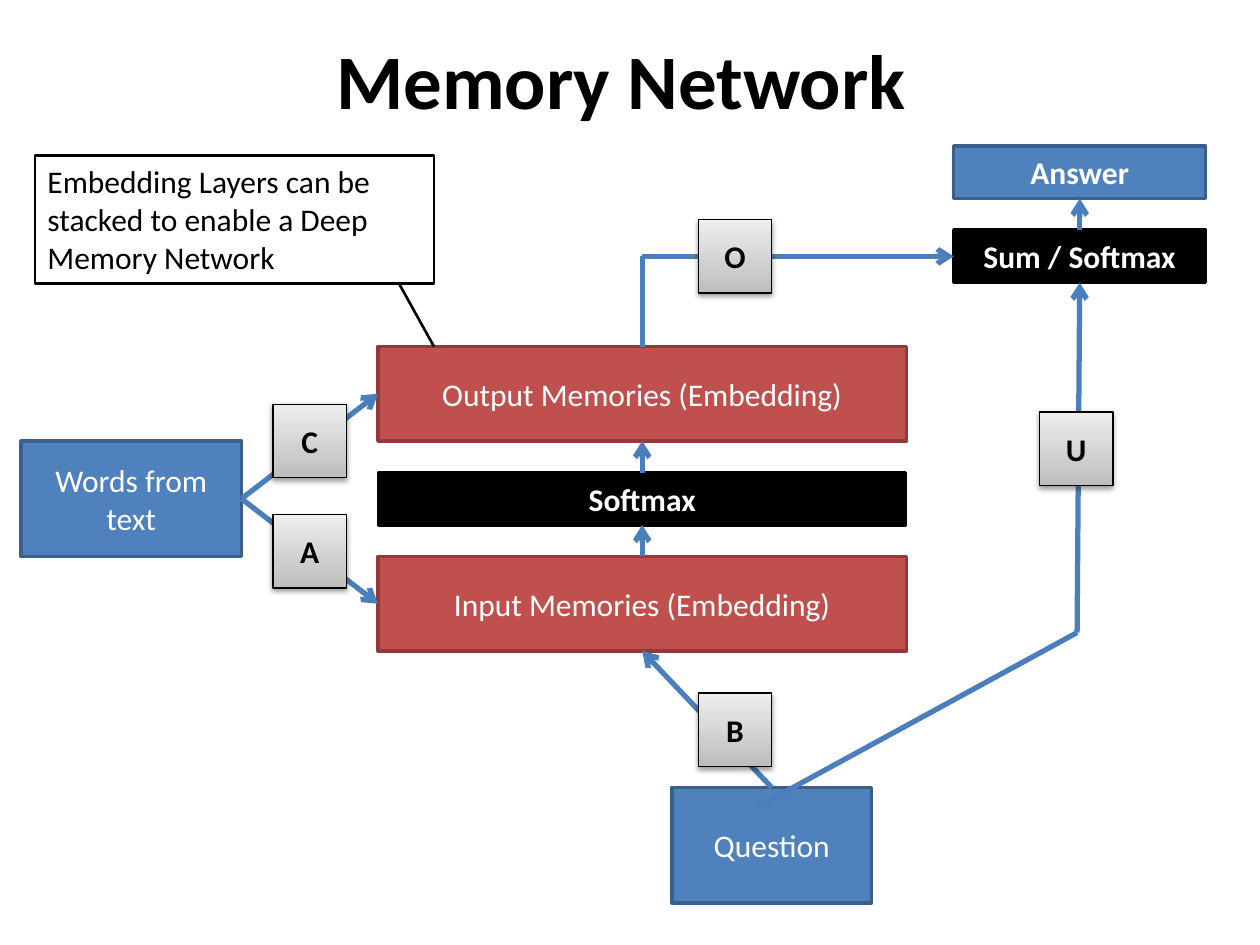
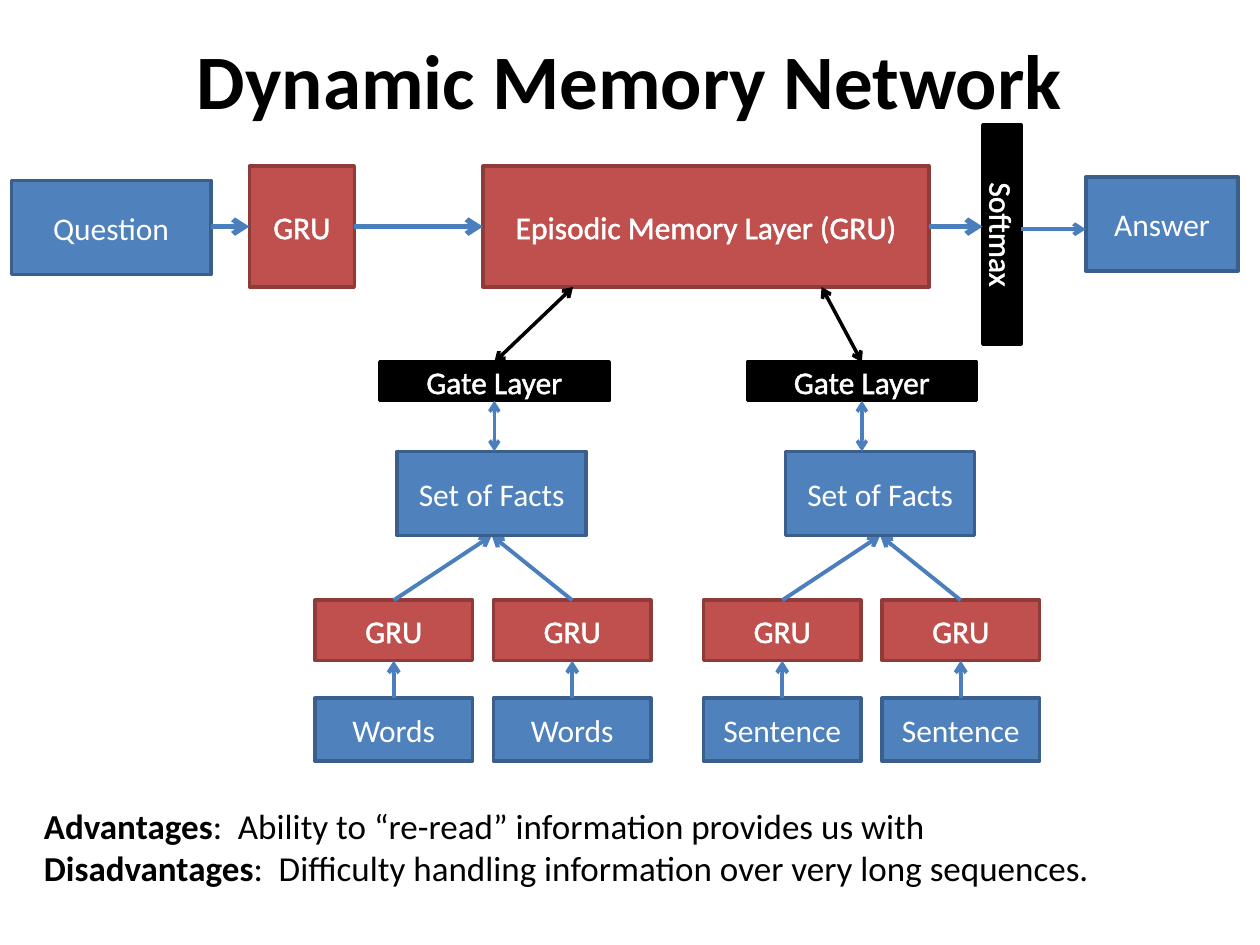
from typing import NamedTuple

from lxml.etree import SubElement
from pptx import Presentation
from pptx.dml.color import RGBColor
from pptx.enum.shapes import MSO_CONNECTOR as Connector, MSO_SHAPE as Shape
from pptx.enum.text import MSO_ANCHOR as Anchor, PP_ALIGN as Align
from pptx.oxml.ns import qn
from pptx.util import Pt

COLORS = {
    "black": "000000", "white": "FFFFFF",
    "blue": "4F81BD", "blue_edge": "3A5F8C", "arrow": "4B7EBC",
    "red": "C0504D", "red_edge": "8E3B39",
    "key_dark": "BDBDBD", "key_light": "EEEEEE",
}
EDGES = {"blue": "blue_edge", "red": "red_edge", "black": "black"}
FONT = "Calibri"


class Box(NamedTuple):
    """A rectangle in points."""
    left: float
    top: float
    width: float
    height: float

    @property
    def center(self):
        return self.left + self.width / 2, self.top + self.height / 2

    @property
    def upper(self):
        return self.center[0], self.top

    @property
    def lower(self):
        return self.center[0], self.top + self.height

    @property
    def start(self):
        return self.left, self.center[1]

    @property
    def end(self):
        return self.left + self.width, self.center[1]

    def inner(self, x, y, width, height):
        return Box(self.left + x, self.top + y, width, height)


def rgb(name):
    return RGBColor.from_string(COLORS[name])


def set_font(font, size, color="black", bold=False):
    font.name, font.size, font.bold = FONT, Pt(size), bold
    font.color.rgb = rgb(color)


def add_color(parent, name, alpha=None):
    color = SubElement(parent, qn("a:srgbClr"), val=COLORS[name])
    if alpha:
        SubElement(color, qn("a:alpha"), val=str(alpha * 1000))


def outline_text(run, color="white", width=1.45):
    properties = run._r.get_or_add_rPr()
    line = SubElement(properties, qn("a:ln"), w=str(Pt(width)))
    add_color(SubElement(line, qn("a:solidFill")), color)
    properties.insert(0, line)


def add_rectangle(slide, box, text, edge, edge_width, color, bold=False):
    shape = slide.shapes.add_shape(Shape.RECTANGLE, *map(Pt, box))
    shape.shadow.inherit = False
    shape.line.color.rgb = rgb(edge)
    shape.line.width = Pt(edge_width)
    frame = shape.text_frame
    frame.word_wrap = True
    frame.vertical_anchor = Anchor.MIDDLE
    paragraph = frame.paragraphs[0]
    paragraph.text = text
    paragraph.alignment = Align.CENTER
    set_font(paragraph.font, 18, color, bold)
    return shape


def add_node(slide, box, text, fill="blue", bold=False, outlined=False):
    shape = add_rectangle(slide, box, text, EDGES[fill], 2, "white", bold)
    shape.fill.solid()
    shape.fill.fore_color.rgb = rgb(fill)
    if outlined:
        outline_text(shape.text_frame.paragraphs[0].runs[0])
    return shape


def add_weight_key(slide, letter, left, top):
    """Grey shaded square naming a weight matrix."""
    shape = add_rectangle(slide, Box(left, top, 42, 42), letter,
                          "black", 0.75, "black", bold=True)
    shape.fill.gradient()
    shape.fill.gradient_angle = 90
    for stop, color in zip(shape.fill.gradient_stops, ("key_dark", "key_light")):
        stop.color.rgb = rgb(color)
    effects = shape._element.spPr.find(qn("a:effectLst"))
    shadow = SubElement(effects, qn("a:outerShdw"), blurRad=str(Pt(3.1)),
                        dist=str(Pt(1.6)), dir="5400000", rotWithShape="0")
    add_color(shadow, "black", alpha=38)


def add_line(slide, start, end, color="arrow", width=3, ends=("tailEnd",)):
    """Line from start to end; ends lists the tips that carry an arrowhead."""
    connector = slide.shapes.add_connector(
        Connector.STRAIGHT, *map(Pt, (*start, *end)))
    connector.line.color.rgb = rgb(color)
    connector.line.width = Pt(width)
    for tip in ends:
        SubElement(connector.line._get_or_add_ln(), qn(f"a:{tip}"), type="arrow")
    SubElement(connector._element.spPr, qn("a:effectLst"))


def add_double_arrow(slide, start, end, color="arrow"):
    add_line(slide, start, end, color, 2, ("headEnd", "tailEnd"))


def add_text_box(slide, box):
    frame = slide.shapes.add_textbox(*map(Pt, box)).text_frame
    frame.word_wrap = True
    return frame


def add_titled_slide(presentation, title):
    slide = presentation.slides.add_slide(presentation.slide_layouts[6])
    frame = add_text_box(slide, Box(36, 0, 648, 90))
    frame.vertical_anchor = Anchor.MIDDLE
    paragraph = frame.paragraphs[0]
    paragraph.text = title
    paragraph.alignment = Align.CENTER
    set_font(paragraph.font, 44, bold=True)
    return slide


def add_memory_stack(slide, box):
    """Input and output memories with a softmax between; returns both boxes."""
    gap, softmax_height = 18, 30
    height = (box.height - softmax_height - 2 * gap) / 2
    output = box.inner(0, 0, box.width, height)
    softmax = box.inner(0.5, height + gap, box.width - 1, softmax_height)
    inputs = box.inner(0, box.height - height, box.width, height)
    add_node(slide, inputs, "Input Memories (Embedding)", "red")
    add_node(slide, softmax, "Softmax", "black", bold=True)
    add_node(slide, output, "Output Memories (Embedding)", "red")
    add_line(slide, inputs.upper, softmax.lower)
    add_line(slide, softmax.upper, output.lower)
    return output, inputs


def add_words_source(slide, box, output, inputs):
    add_node(slide, box, "Words from text")
    for target, letter, top in ((output, "C", -21), (inputs, "A", 42)):
        add_line(slide, box.end, target.start)
        add_weight_key(slide, letter, box.left + box.width + 18, box.top + top)


def add_answer_column(slide, box):
    """Answer above its softmax; returns the softmax box."""
    height = 30
    answer = box.inner(0, 0, box.width, height)
    softmax = box.inner(0, box.height - height, box.width, height)
    add_node(slide, softmax, "Sum / Softmax", "black", bold=True)
    add_node(slide, answer, "Answer", bold=True)
    add_line(slide, softmax.upper, answer.lower)
    return softmax


def add_callout(slide, box, target):
    shape = add_rectangle(
        slide, box,
        "Embedding Layers can be stacked to enable a Deep Memory Network",
        "black", 1.5, "black")
    shape.fill.background()
    shape.text_frame.paragraphs[0].alignment = Align.LEFT
    shape.text_frame.vertical_anchor = Anchor.TOP
    right, bottom = box.left + box.width, box.top + box.height
    add_line(slide, (right, target.top), (right - 20, bottom), "black", 1.5, ())


def build_memory_network(presentation):
    slide = add_titled_slide(presentation, "Memory Network ")
    question = Box(384, 450, 114, 66)
    add_node(slide, question, "Question")
    output, inputs = add_memory_stack(slide, Box(216, 198, 302, 174))
    add_words_source(slide, Box(12, 252, 126, 66), output, inputs)
    softmax = add_answer_column(slide, Box(545, 83.5, 144, 78))

    add_line(slide, question.upper, inputs.lower)
    corner = output.center[0], softmax.center[1]
    add_line(slide, corner, softmax.start)
    add_line(slide, output.upper, corner, ends=())
    bend = 615.5, 361.5
    add_line(slide, (433, 461), bend, ends=())
    add_line(slide, bend, softmax.lower)
    for letter, left, top in (("B", 399, 396), ("O", 399, 125.5), ("U", 594, 235.5)):
        add_weight_key(slide, letter, left, top)
    add_callout(slide, Box(20, 89, 228, 73), output)


def add_answer_pipeline(slide, box):
    """Question to answer, left to right; returns the episodic memory box."""
    question = box.inner(0, 31.5, 114, 54)
    encoder = box.inner(136, 23.5, 60, 69)
    episodic = box.inner(269.5, 23.5, 255, 69)
    softmax = box.inner(503.5, 51.5, 125, 22)
    answer = box.inner(box.width - 87, 29.5, 87, 54)
    add_node(slide, question, "Question")
    add_node(slide, encoder, "GRU", "red", outlined=True)
    add_node(slide, episodic, "Episodic Memory Layer (GRU)", "red", outlined=True)
    add_node(slide, softmax, "Softmax", "black", outlined=True).rotation = 90
    add_node(slide, answer, "Answer")

    middle_x, middle_y = softmax.center
    half = softmax.height / 2
    flow_y = episodic.center[1]
    add_line(slide, (question.end[0], flow_y), encoder.start)
    add_line(slide, encoder.end, episodic.start)
    add_line(slide, episodic.end, (middle_x - half, flow_y))
    answer_y = middle_y - 3
    add_line(slide, (middle_x + half, answer_y), (answer.left, answer_y), width=2.25)
    return episodic


def add_fact_tree(slide, box, leaf_text, gate_x, memory_point):
    """Two encoded leaves feed a fact set, gated into the memory layer."""
    gate = box.inner(gate_x, 0, 131, 22)
    facts = box.inner(47, 51, 108, 48)
    leaf_width = 90
    for x in (0, box.width - leaf_width):
        encoder = box.inner(x, 136, leaf_width, 34.5)
        leaf = box.inner(x, box.height - 36, leaf_width, 36)
        add_node(slide, leaf, leaf_text)
        add_node(slide, encoder, "GRU", "red", outlined=True)
        add_line(slide, leaf.upper, encoder.lower, width=2.25)
        add_line(slide, encoder.upper, facts.lower, width=2.25)
    add_node(slide, facts, "Set of Facts")
    add_node(slide, gate, "Gate Layer", "black", outlined=True)
    add_double_arrow(slide, (gate.center[0], facts.top), gate.lower)
    add_double_arrow(slide, gate.upper, memory_point, "black")


def add_verdicts(slide, box, verdicts):
    frame = add_text_box(slide, box)
    for index, (label, detail) in enumerate(verdicts):
        paragraph = frame.add_paragraph() if index else frame.paragraphs[0]
        for text, bold in ((label, True), (f":  {detail}", False)):
            run = paragraph.add_run()
            run.text = text
            set_font(run.font, 20, bold=bold)


def build_dynamic_network(presentation):
    slide = add_titled_slide(presentation, "Dynamic Memory Network")
    add_verdicts(slide, Box(18, 456, 678, 55), (
        ("Advantages", "Ability to “re-read” information provides us with"),
        ("Disadvantages",
         "Difficulty handling information over very long sequences."),
    ))
    episodic = add_answer_pipeline(slide, Box(6.5, 71.5, 701, 125))
    memory_y = episodic.lower[1]
    for left, leaf_text, gate_x, memory_x in (
            (180, "Words", 37, 327.5), (402, "Sentence", 25, 469.5)):
        add_fact_tree(slide, Box(left, 207, 192, 228), leaf_text, gate_x,
                      (memory_x, memory_y))


def main():
    presentation = Presentation()
    presentation.slide_width, presentation.slide_height = Pt(720), Pt(540)
    build_memory_network(presentation)
    build_dynamic_network(presentation)
    presentation.save("out.pptx")


if __name__ == "__main__":
    main()
